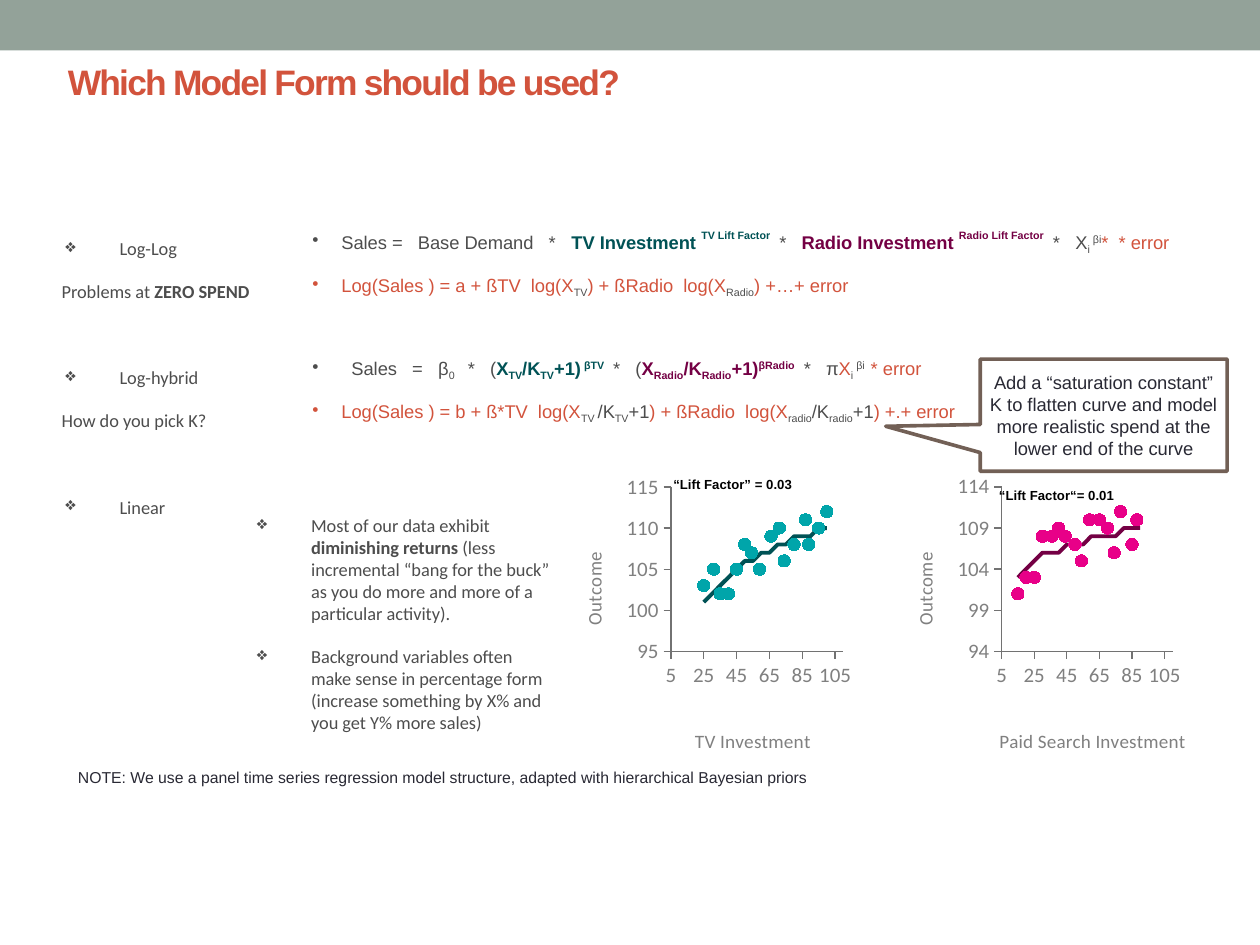
from lxml import etree
from pptx import Presentation, util as u
from pptx.chart.data import XyChartData
from pptx.dml.color import RGBColor
from pptx.enum import chart as charts, shapes, text
from pptx.oxml import parse_xml
from pptx.oxml.ns import nsdecls, qn

COLORS = {
    "band": "93A299", "title": "D2533C", "gray": "4D4D4D", "teal": "005255",
    "plum": "740044", "dark": "292934", "black": "000000", "white": "FFFFFF",
    "brown": "726056", "axis": "727272", "label": "808080",
    "cyan": "00A5AA", "pink": "E80088",
}

# Runs are (text, colour, bold, baseline %)
G, O = ("gray", False), ("title", False)
T, P = ("teal", True), ("plum", True)
# Paragraphs are (runs, bullet, left indent, first-line indent, space before)
FORMULAS = [
    ([("Sales =   Base Demand   *   ", *G, 0), ("TV Investment ", *T, 0),
      ("TV Lift Factor   ", *T, 50), ("*   ", *G, 0),
      ("Radio Investment ", *P, 0), ("Radio Lift Factor   ", *P, 50),
      ("*   X", *G, 0), ("i ", *G, -25), ("βi", *G, 30),
      ("*  * error", *O, 0)], "•", 0.23, -0.23, 0),
    ([("Log(Sales ) = a + ßTV  log(X", *O, 0), ("TV", *G, -25),
      (") + ßRadio  log(X", *O, 0), ("Radio", *G, -25),
      (") +…+ error", *O, 0)], "•", 0.23, -0.23, 4.4),
    ([("Sales   =   β", *G, 0), ("0 ", *G, -25), ("  *   (", *G, 0),
      ("X", *T, 0), ("TV", *T, -25), ("/K", *T, 0), ("TV", *T, -25),
      ("+1)", *T, 0), (" βTV   ", *T, 30), ("*   (", *G, 0),
      ("X", *P, 0), ("Radio", *P, -25), ("/K", *P, 0), ("Radio", *P, -25),
      ("+1)", *P, 0), ("βRadio   ", *P, 30), ("*   π", *G, 0),
      ("X", *O, 0), ("i ", *G, -25), ("βi  ", *G, 30),
      ("* error", *O, 0)], "•", 0.31, -0.31, 27),
    ([("Log(Sales ) = b + ß*TV  log(X", *O, 0), ("TV ", *G, -25),
      ("/K", *G, 0), ("TV", *G, -25), ("+1", *G, 0),
      (") + ßRadio  log(X", *O, 0), ("radio", *G, -25), ("/K", *G, 0),
      ("radio", *G, -25), ("+1", *G, 0), (") +.+ error", *O, 0)],
     "•", 0.23, -0.23, 4.4),
]
DIAMOND = ("❖", 0.56, -0.43)
PLAIN = (None, 0.1, 0)
MODEL_FORMS = [
    ([("Log-Log", *G, 0)], *DIAMOND, 0),
    ([("Problems at ", *G, 0), ("ZERO SPEND", "gray", True, 0)], *PLAIN, 12),
    ([("Log-hybrid", *G, 0)], *DIAMOND, 36.8),
    ([("How do you pick K?", *G, 0)], *PLAIN, 12),
    ([("Linear", *G, 0)], *DIAMOND, 36.8),
]
REASONS = [
    ([("Most of our data exhibit ", *G, 0),
      ("diminishing returns", "gray", True, 0),
      (" (less incremental “bang for the buck” as you do more and more of a "
       "particular activity).", *G, 0)], *DIAMOND, 0),
    ([("Background variables often make sense in percentage form (increase "
       "something by X% and you get Y% more sales)", *G, 0)], *DIAMOND, 12),
]
CHARTS = [
    {"left": 4.49, "title": "TV Investment", "title_x": 0.43, "range": (95, 115),
     "dots": "cyan", "curve": "teal",
     "x": [25, 31, 35, 40, 45, 50, 54, 59, 66, 71, 74, 80, 87, 89, 95, 100],
     "y": [103, 105, 102, 102, 105, 108, 107, 105, 109, 110, 106, 108, 111, 108, 110, 112],
     "fit_x": [25, 30, 35, 40, 45, 50, 55, 60, 65, 70, 75, 80, 85, 90, 95, 100],
     "fit_y": [101, 102, 103, 104, 105, 106, 106, 107, 107, 108, 108, 109, 109, 109, 110, 110]},
    {"left": 7.12, "title": "Paid Search Investment", "title_x": 0.34, "range": (94, 114),
     "dots": "pink", "curve": "plum",
     "x": [15, 20, 25, 30, 36, 40, 44, 50, 54, 59, 65, 70, 74, 78, 85, 88],
     "y": [101, 103, 103, 108, 108, 109, 108, 107, 105, 110, 110, 109, 106, 111, 107, 110],
     "fit_x": [15, 20, 25, 30, 35, 40, 45, 50, 55, 60, 65, 70, 75, 80, 85, 90],
     "fit_y": [103, 104, 105, 106, 106, 106, 107, 107, 107, 108, 108, 108, 108, 109, 109, 109]},
]
LIFT_LABELS = [("“Lift Factor” = 0.03", 5.1, 3.74), ("“Lift Factor“= 0.01", 7.67, 3.83)]


def color(name):
    return RGBColor.from_string(COLORS[name])


def set_font(font, face, size, name, bold=None):
    font.name, font.size, font.bold = face, u.Pt(size), bold
    font.color.rgb = color(name)


def set_frame(shape, inset_x, inset_y, anchor=text.MSO_ANCHOR.TOP):
    frame = shape.text_frame
    frame.word_wrap, frame.vertical_anchor = True, anchor
    frame.margin_left = frame.margin_right = u.Inches(inset_x)
    frame.margin_top = frame.margin_bottom = u.Inches(inset_y)
    return frame


def add_box(page, place, inset_x=0.06, inset_y=0.03, anchor=text.MSO_ANCHOR.TOP):
    box = page.shapes.add_textbox(*map(u.Inches, place))
    return set_frame(box, inset_x, inset_y, anchor)


def add_line(frame, words, face, size, name, bold=None, align=None):
    para = frame.paragraphs[0]
    para.text, para.alignment = words, align
    set_font(para.font, face, size, name, bold)
    return para


def add_rich(frame, paragraphs, face, after=0):
    for index, (runs, bullet, left, first, before) in enumerate(paragraphs):
        para = frame.paragraphs[0] if index == 0 else frame.add_paragraph()
        props = para._p.get_or_add_pPr()
        props.set("marL", str(u.Inches(left)))
        props.set("indent", str(u.Inches(first)))
        if bullet:
            etree.SubElement(props, qn("a:buChar")).set("char", bullet)
        para.font.name, para.font.size = face, u.Pt(10.5)
        para.space_before, para.space_after = u.Pt(before), u.Pt(after)
        for words, name, bold, baseline in runs:
            span = para.add_run()
            span.text, span.font.bold = words, bold
            span.font.color.rgb = color(name)
            if baseline:
                span._r.get_or_add_rPr().set("baseline", str(baseline * 1000))


def layout(x, y, size=None):
    parts = [("xMode", "edge"), ("yMode", "edge"), ("x", x), ("y", y)]
    if size:
        parts = [("layoutTarget", "inner")] + parts + list(zip("wh", size))
    inner = "".join(f'<c:{tag} val="{value}"/>' for tag, value in parts)
    return parse_xml(f'<c:layout {nsdecls("c")}><c:manualLayout>{inner}'
                     "</c:manualLayout></c:layout>")


def set_axis(axis, limits, step, title, x, y):
    axis.minimum_scale, axis.maximum_scale = limits
    axis.major_unit = step
    axis.has_major_gridlines = False
    axis.major_tick_mark = charts.XL_TICK_MARK.OUTSIDE
    axis.minor_tick_mark = charts.XL_TICK_MARK.NONE
    axis.format.line.color.rgb = color("axis")
    axis.format.line.width = u.Pt(0.75)
    set_font(axis.tick_labels.font, "Calibri", 12, "label")
    axis.tick_labels.number_format = "0"
    axis.tick_labels.number_format_is_linked = False
    add_line(axis.axis_title.text_frame, title, "Calibri", 11, "label", False)
    element = axis.axis_title._element
    for old in element.findall(qn("c:layout")):
        element.remove(old)
    element.find(qn("c:tx")).addnext(layout(x, y))


def add_scatter(page, item):
    data = XyChartData()
    for name, xs, ys in (("Series 1", item["x"], item["y"]),
                         ("Series 2", item["fit_x"], item["fit_y"])):
        series = data.add_series(name)
        for x, y in zip(xs, ys):
            series.add_data_point(x, y)
    place = map(u.Inches, (item["left"], 3.73, 2.32, 2.3))
    chart = page.shapes.add_chart(charts.XL_CHART_TYPE.XY_SCATTER, *place, data).chart
    chart.has_legend = chart.has_title = False
    set_font(chart.font, "Arial", 12, "gray")
    chart.plots[0].vary_by_categories = False
    dots, curve = chart.plots[0].series
    dots.smooth, curve.smooth = False, True
    dots.format.line.fill.background()
    dots.marker.style, dots.marker.size = charts.XL_MARKER_STYLE.CIRCLE, 7
    dots.marker.format.fill.solid()
    dots.marker.format.fill.fore_color.rgb = color(item["dots"])
    dots.marker.format.line.color.rgb = color(item["dots"])
    curve.marker.style = charts.XL_MARKER_STYLE.NONE
    curve.format.line.color.rgb = color(item["curve"])
    curve.format.line.width = u.Pt(2.25)
    set_axis(chart.category_axis, (5, 110), 20, item["title"], item["title_x"], 0.9)
    set_axis(chart.value_axis, item["range"], 5, "Outcome", 0.04, 0.28)
    area = chart._chartSpace.chart.plotArea
    for old in area.findall(qn("c:layout")):
        area.remove(old)
    area.insert(0, layout(0.36, 0.06, (0.59, 0.58)))


def add_filled(page, kind, place, fill):
    shape = page.shapes.add_shape(kind, *map(u.Inches, place))
    shape.shadow.inherit = False
    shape.fill.solid()
    shape.fill.fore_color.rgb = color(fill)
    return shape


def main():
    deck = Presentation()
    deck.slide_width, deck.slide_height = u.Inches(10), u.Inches(7.5)
    page = deck.slides.add_slide(deck.slide_layouts[6])
    center, middle = text.PP_ALIGN.CENTER, text.MSO_ANCHOR.MIDDLE

    # Top band and title
    band = add_filled(page, shapes.MSO_SHAPE.RECTANGLE, (0, 0, 10, 0.4), "band")
    band.line.fill.background()
    title = add_line(add_box(page, (0.44, 0.43, 9.29, 0.81), 0.1, 0.05),
                     "Which Model Form should be used?", "Arial", 20.2, "title", True)
    title.runs[0]._r.get_or_add_rPr().set("spc", "-100")

    # Formulas, charts and explanations
    add_rich(add_box(page, (2.42, 1.79, 7.37, 1.8)), FORMULAS, "Arial", 6)
    for item in CHARTS:
        add_scatter(page, item)
    add_rich(add_box(page, (1.85, 4.05, 2.6, 1.93)), REASONS, "Calibri")
    for words, left, top in LIFT_LABELS:
        add_line(add_box(page, (left, top, 1.43, 0.22), 0.09, 0.04),
                 words, "Arial", 7.5, "black", True, center)

    # Callout
    callout = add_filled(page, shapes.MSO_SHAPE.RECTANGULAR_CALLOUT,
                         (7.78, 2.85, 1.96, 0.89), "white")
    callout.adjustments[0], callout.adjustments[1] = -0.883, 0.099
    callout.line.color.rgb, callout.line.width = color("brown"), u.Pt(2.08)
    add_line(set_frame(callout, 0.06, 0.03, middle),
             "Add a “saturation constant” K to flatten curve and model more "
             "realistic spend at the lower end of the curve",
             "Arial", 10.5, "dark", align=center)

    # Note and model forms
    add_line(add_box(page, (0.52, 6.01, 8.35, 0.32), 0.1, 0.05, middle),
             "NOTE: We use a panel time series regression model structure, "
             "adapted with hierarchical Bayesian priors", "Arial", 9, "dark")
    add_rich(add_box(page, (0.33, 1.85, 1.8, 2.7)), MODEL_FORMS, "Calibri")
    deck.save("out.pptx")


if __name__ == "__main__":
    main()
